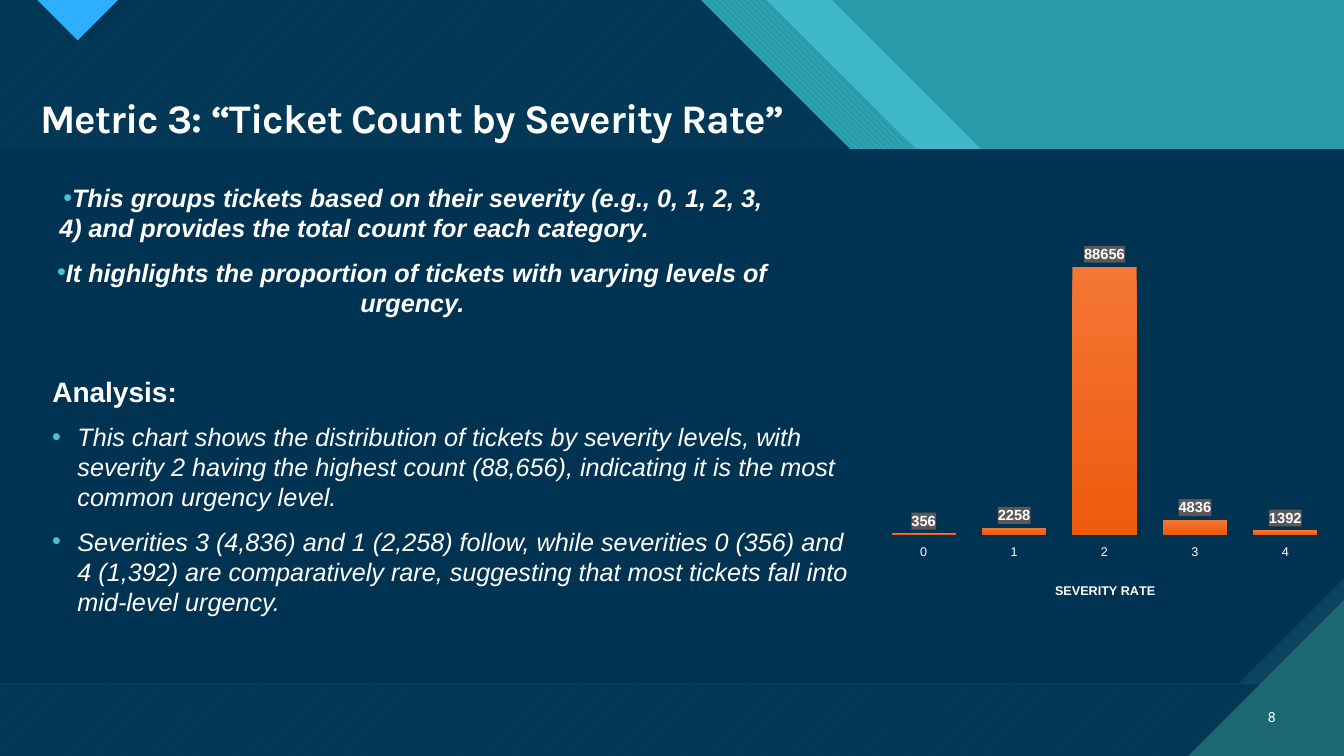
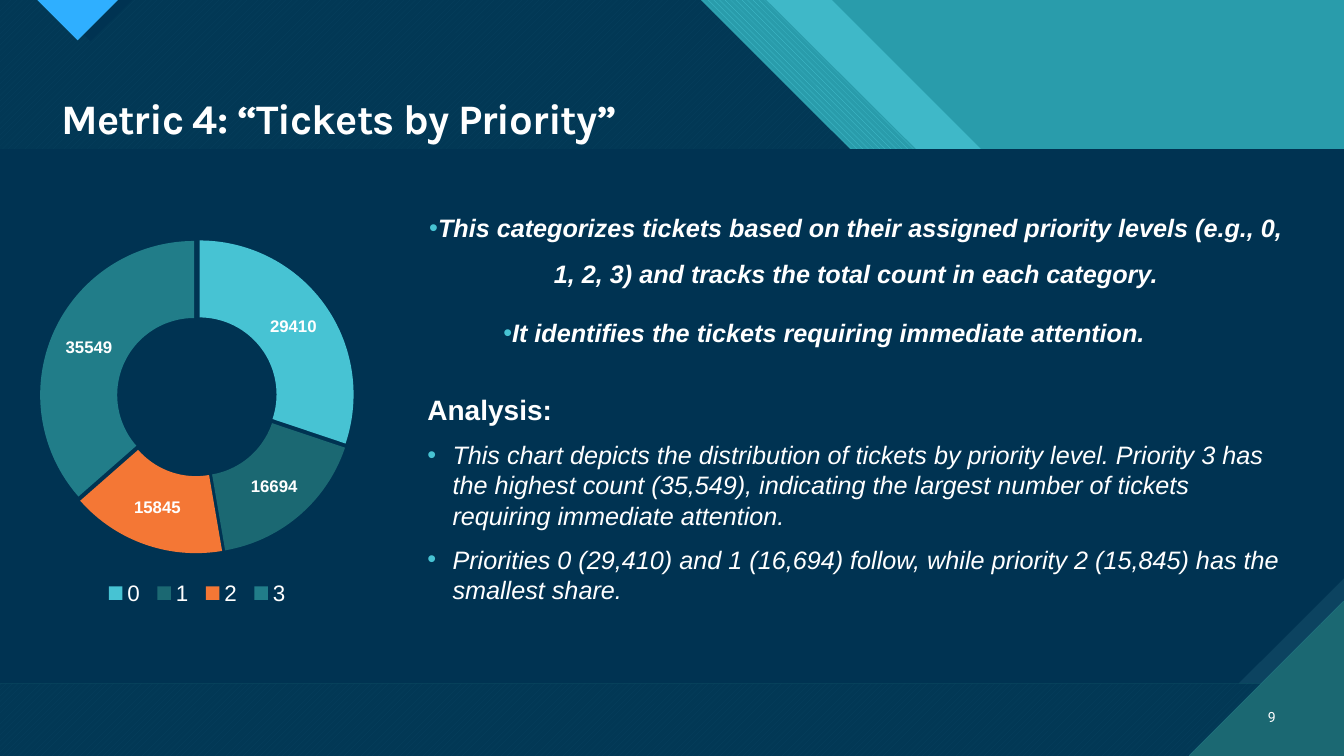
from dataclasses import dataclass

from lxml.etree import SubElement
from pptx import Presentation
from pptx.chart.data import CategoryChartData
from pptx.dml.color import RGBColor
from pptx.enum.chart import XL_CHART_TYPE as ChartType
from pptx.enum.chart import XL_LABEL_POSITION as LabelPosition
from pptx.enum.chart import XL_LEGEND_POSITION as LegendPosition
from pptx.enum.chart import XL_TICK_LABEL_POSITION as TickLabels
from pptx.enum.chart import XL_TICK_MARK as TickMark
from pptx.enum.dml import MSO_PATTERN_TYPE as Pattern
from pptx.enum.shapes import MSO_SHAPE as Preset
from pptx.enum.text import MSO_ANCHOR as Anchor
from pptx.enum.text import PP_ALIGN as Align
from pptx.oxml import parse_xml
from pptx.oxml.ns import nsdecls, qn
from pptx.util import Inches, Pt


@dataclass(frozen=True)
class Theme:
    """Colours, fonts and type sizes of the deck."""

    navy: str = "003352"
    slate: str = "0C4360"
    teal: str = "299CAB"
    aqua: str = "47C3D3"
    pine: str = "1B6872"
    sea: str = "217D89"
    sky: str = "2FAFFF"
    orange: str = "F47735"
    ember: str = "ED5A0D"
    gray: str = "595959"
    white: str = "FFFFFF"
    title_font: str = "Karla"
    body_font: str = "Arial"
    number_font: str = "Roboto"
    heading_size: float = 20
    body_size: float = 18
    legend_size: float = 16
    slice_size: float = 12
    bar_size: float = 10.5
    number_size: float = 10
    axis_size: float = 9


THEME = Theme()
WIDTH, HEIGHT = 13.33, 7.5
PANEL_TOP, PANEL_HEIGHT = 1.48, 5.3
HEADING_HEIGHT, LIST_OFFSET, LIST_HEIGHT = 0.53, 0.43, 2.3


def set_all(target, values):
    """Set every attribute named in values on target."""
    for name, value in values.items():
        setattr(target, name, value)


def color(value):
    """Turn a hex string into a colour."""
    return RGBColor.from_string(value)


def style_font(font, name, size, **values):
    """Give a font its face, size, white colour and other values."""
    set_all(font, {"name": name, "size": Pt(size), **values})
    font.color.rgb = color(THEME.white)


def paint(shape, fore, back=None, pattern=None, alpha=None):
    """Fill a shape plainly or with a pattern, without line or shadow."""
    shape.shadow.inherit = False
    shape.line.fill.background()
    if pattern is None:
        shape.fill.solid()
    else:
        shape.fill.patterned()
        shape.fill.pattern = pattern
        shape.fill.back_color.rgb = color(back)
    shape.fill.fore_color.rgb = color(fore)
    if alpha is not None:
        tint = shape._element.spPr.find(".//" + qn("a:srgbClr"))
        SubElement(tint, qn("a:alpha"), val=str(alpha * 1000))
    return shape


def add_polygon(slide, points, *fill, **fill_options):
    """Draw a closed outline through points given in inches."""
    corners = [(Inches(x), Inches(y)) for x, y in points]
    builder = slide.shapes.build_freeform(*corners[0])
    builder.add_line_segments(corners[1:], close=True)
    return paint(builder.convert_to_shape(), *fill, **fill_options)


def add_block(slide, preset, box, *fill, **fill_options):
    """Draw a preset shape in a box given in inches."""
    shape = slide.shapes.add_shape(preset, *map(Inches, box))
    return paint(shape, *fill, **fill_options)


def band(left, top_end, notch, notch_end, side):
    """Return the outline of a sheet whose right edge runs down in steps."""
    return [(left, 0), (top_end, 0), (notch, 2.97), (notch_end, 2.97),
            (WIDTH, side), (WIDTH, HEIGHT), (left, HEIGHT)]


def add_backdrop(slide):
    """Draw the layered bands, the panel and the corner triangles."""
    add_block(slide, Preset.RECTANGLE, (0, 0, WIDTH, HEIGHT), THEME.teal)
    add_polygon(slide, band(0, 8.25, 11.22, 12.34, 3.96), THEME.aqua, alpha=74)
    add_polygon(slide, band(0.66, 7.6, 10.58, 11.84, 4.47),
                THEME.aqua, THEME.teal, Pattern.WIDE_DOWNWARD_DIAGONAL)
    front = band(0, 6.95, 9.92, 11.18, 5.12)
    add_polygon(slide, front, THEME.aqua, THEME.pine, Pattern.WIDE_UPWARD_DIAGONAL)
    add_polygon(slide, front, THEME.navy, alpha=90)
    add_polygon(slide, [(0.48, 0), (0.9, 0.41), (1.31, 0)], THEME.navy)
    add_polygon(slide, [(0.37, 0), (0.77, 0.4), (1.17, 0)],
                THEME.sky, THEME.pine, Pattern.DARK_HORIZONTAL)
    panel_box = (0, PANEL_TOP, WIDTH, PANEL_HEIGHT)
    add_block(slide, Preset.RECTANGLE, panel_box,
              THEME.slate, THEME.pine, Pattern.DARK_VERTICAL)
    panel = add_block(slide, Preset.SNIP_1_RECTANGLE, panel_box, THEME.navy)
    panel.adjustments[0] = 0.197
    panel._element.spPr.find(qn("a:xfrm")).set("flipV", "1")
    add_polygon(slide, [(11.79, HEIGHT), (WIDTH, HEIGHT), (WIDTH, 5.96)],
                THEME.pine, THEME.aqua, Pattern.DARK_HORIZONTAL)


def add_text(slide, box, lines, font, layout=None, anchor=Anchor.TOP):
    """Write lines in a box and return their paragraphs."""
    frame = slide.shapes.add_textbox(*map(Inches, box)).text_frame
    set_all(frame, {"word_wrap": True, "vertical_anchor": anchor})
    paragraphs = []
    for index, line in enumerate(lines):
        paragraph = frame.add_paragraph() if index else frame.paragraphs[0]
        set_all(paragraph, layout or {})
        run = paragraph.add_run()
        run.text = line
        style_font(run.font, **font)
        paragraphs.append(paragraph)
    return paragraphs


def add_bullets(slide, box, lines, margin=0.25, indent=-0.25, bold=None, **layout):
    """Write an italic list with aqua bullets."""
    font = {"name": THEME.body_font, "size": THEME.body_size,
            "italic": True, "bold": bold}
    layout = {"space_before": Pt(10), **layout}
    paragraphs = add_text(slide, box, lines, font, layout)
    for paragraph in paragraphs:
        properties = paragraph._p.get_or_add_pPr()
        properties.set("marL", str(Inches(margin)))
        properties.set("indent", str(Inches(indent)))
        tint = SubElement(properties, qn("a:buClr"))
        SubElement(tint, qn("a:srgbClr"), val=THEME.aqua)
        SubElement(properties, qn("a:buFont"), typeface=THEME.body_font)
        SubElement(properties, qn("a:buChar"), char="•")
    return paragraphs


def add_summary(slide, box, lines, **layout):
    """Write the bold centred list that introduces a metric."""
    return add_bullets(slide, box, lines, 0, 0, True, alignment=Align.CENTER, **layout)


def add_analysis(slide, left, top, width, lines):
    """Write the analysis heading with its list below."""
    font = {"name": THEME.body_font, "size": THEME.heading_size, "bold": True}
    add_text(slide, (left, top, 1.51, HEADING_HEIGHT), ["Analysis:"],
             font, {"line_spacing": 0.9})
    add_bullets(slide, (left, top + LIST_OFFSET, width, LIST_HEIGHT), lines)


def start_slide(presentation, title, title_left, title_size, number):
    """Add a slide with backdrop, title and page number."""
    slide = presentation.slides.add_slide(presentation.slide_layouts[6])
    add_backdrop(slide)
    title_font = {"name": THEME.title_font, "size": title_size, "bold": True}
    heading, = add_text(slide, (title_left, 0.93, 8.28, 0.55), [title],
                        title_font, {"line_spacing": 0.9})
    heading.runs[0].font._element.set("spc", "-70")
    number_font = {"name": THEME.number_font, "size": THEME.number_size}
    add_text(slide, (12.31, 6.91, 0.44, 0.4), [number], number_font,
             {"alignment": Align.RIGHT}, Anchor.MIDDLE)
    return slide


def place_part(element, index, inner=False, **fractions):
    """Fix a chart part at fractions of the chart area."""
    for old in element.findall(qn("c:layout")):
        element.remove(old)
    layout = parse_xml(f"<c:layout {nsdecls('c')}><c:manualLayout/></c:layout>")
    values = {"layoutTarget": "inner"} if inner else {}
    values.update(xMode="edge", yMode="edge", **fractions)
    for name, value in values.items():
        SubElement(layout[0], qn("c:" + name), val=str(value))
    element.insert(index, layout)


def add_chart(slide, kind, box, categories, values, label_size):
    """Add a chart of one series with bold value labels."""
    data = CategoryChartData()
    data.categories = categories
    data.add_series("Series 1", values)
    chart = slide.shapes.add_chart(kind, *map(Inches, box), data).chart
    set_all(chart, {"has_title": False, "has_legend": False})
    style_font(chart.font, THEME.body_font, THEME.number_size)
    labels = chart.plots[0].series[0].data_labels
    labels.show_value = True
    style_font(labels.font, THEME.body_font, label_size, bold=True)
    return chart, chart.plots[0], labels


def add_severity_chart(slide, box):
    """Add the columns of ticket counts by severity."""
    chart, plot, labels = add_chart(
        slide, ChartType.COLUMN_CLUSTERED, box, list("01234"),
        [356, 2258, 88656, 4836, 1392], THEME.bar_size)
    set_all(plot, {"gap_width": 41, "vary_by_categories": False})
    labels.position = LabelPosition.OUTSIDE_END
    backing = parse_xml(
        f'<c:spPr {nsdecls("c", "a")}><a:solidFill><a:srgbClr val="{THEME.gray}"/>'
        "</a:solidFill></c:spPr>")
    labels._element.find(qn("c:txPr")).addprevious(backing)
    fill = plot.series[0].format.fill
    fill.gradient()
    fill.gradient_angle = 270
    for stop, shade, place in zip(fill.gradient_stops, (THEME.orange, THEME.ember), (0, 1)):
        stop.color.rgb = color(shade)
        stop.position = place
    set_all(chart.value_axis, {"visible": False, "has_major_gridlines": False,
                               "minimum_scale": 0, "maximum_scale": 100000})
    axis = chart.category_axis
    set_all(axis, {"major_tick_mark": TickMark.NONE, "has_major_gridlines": False,
                   "tick_label_position": TickLabels.LOW})
    axis.format.line.fill.background()
    style_font(axis.tick_labels.font, THEME.body_font, THEME.axis_size)
    paragraph = axis.axis_title.text_frame.paragraphs[0]
    run = paragraph.add_run()
    run.text = "SEVERITY RATE"
    style_font(run.font, THEME.body_font, THEME.axis_size, bold=True)
    place_part(axis.axis_title._element, 1, x=0.39, y=0.94)
    place_part(chart._chartSpace.chart.plotArea, 0, True, x=0.02, y=0.02, w=0.96, h=0.8)


def add_priority_chart(slide, box):
    """Add the ring of ticket counts by priority."""
    chart, plot, _ = add_chart(
        slide, ChartType.DOUGHNUT, box, list("0123"),
        [29410, 16694, 15845, 35549], THEME.slice_size)
    series = plot.series[0]
    for index, shade in enumerate((THEME.aqua, THEME.pine, THEME.orange, THEME.sea)):
        fill = series.points[index].format.fill
        fill.solid()
        fill.fore_color.rgb = color(shade)
    explosion = parse_xml(f'<c:explosion {nsdecls("c")} val="4"/>')
    series._element.find(qn("c:dPt")).addprevious(explosion)
    plot._element.find(qn("c:holeSize")).set("val", "50")
    chart.has_legend = True
    set_all(chart.legend, {"position": LegendPosition.BOTTOM, "include_in_layout": False})
    style_font(chart.legend.font, THEME.body_font, THEME.legend_size)
    place_part(chart.legend._element, 1, x=0.25, y=0.82, w=0.5, h=0.08)
    place_part(chart._chartSpace.chart.plotArea, 0, True, x=0.1, y=0.06, w=0.8, h=0.71)


def build_severity_slide(presentation):
    """Build the slide on ticket counts by severity rate."""
    slide = start_slide(presentation, "Metric 3: “Ticket Count by Severity Rate”", 0.3, 29, "8")
    grouping, _ = add_summary(slide, (0.42, 1.76, 7.34, 1.58), [
        "This groups tickets based on their severity (e.g., 0, 1, 2, 3, 4) and provides the total count for each category.",
        "It highlights the proportion of tickets with varying levels of urgency."])
    grouping.alignment = Align.LEFT
    grouping._p.pPr.set("marL", str(Inches(0.07)))
    grouping._p.pPr.set("indent", str(Inches(0.04)))
    add_severity_chart(slide, (8.62, 2.23, 4.67, 3.75))
    add_analysis(slide, 0.42, 3.7, 8.2, [
        "This chart shows the distribution of tickets by severity levels, with severity 2 having the highest count (88,656), indicating it is the most common urgency level.",
        "Severities 3 (4,836) and 1 (2,258) follow, while severities 0 (356) and 4 (1,392) are comparatively rare, suggesting that most tickets fall into mid-level urgency."])


def build_priority_slide(presentation):
    """Build the slide on tickets by priority."""
    slide = start_slide(presentation, "Metric 4: “Tickets by Priority”", 0.51, 30, "9")
    _, attention = add_summary(slide, (4.12, 1.91, 8.74, 1.63), [
        "This categorizes tickets based on their assigned priority levels (e.g., 0, 1, 2, 3) and tracks the total count in each category.",
        "It identifies the tickets requiring immediate attention."], line_spacing=1.5)
    attention._p.pPr.set("marR", str(Inches(0.63)))
    add_priority_chart(slide, (0, 2.11, 3.91, 4.39))
    add_analysis(slide, 4.14, 3.88, 8.74, [
        "This chart depicts the distribution of tickets by priority level. Priority 3 has the highest count (35,549), indicating the largest number of tickets requiring immediate attention.",
        "Priorities 0 (29,410) and 1 (16,694) follow, while priority 2 (15,845) has the smallest share."])


def main():
    """Build and save the deck."""
    presentation = Presentation()
    set_all(presentation, {"slide_width": Inches(WIDTH), "slide_height": Inches(HEIGHT)})
    build_severity_slide(presentation)
    build_priority_slide(presentation)
    presentation.save("out.pptx")


if __name__ == "__main__":
    main()
